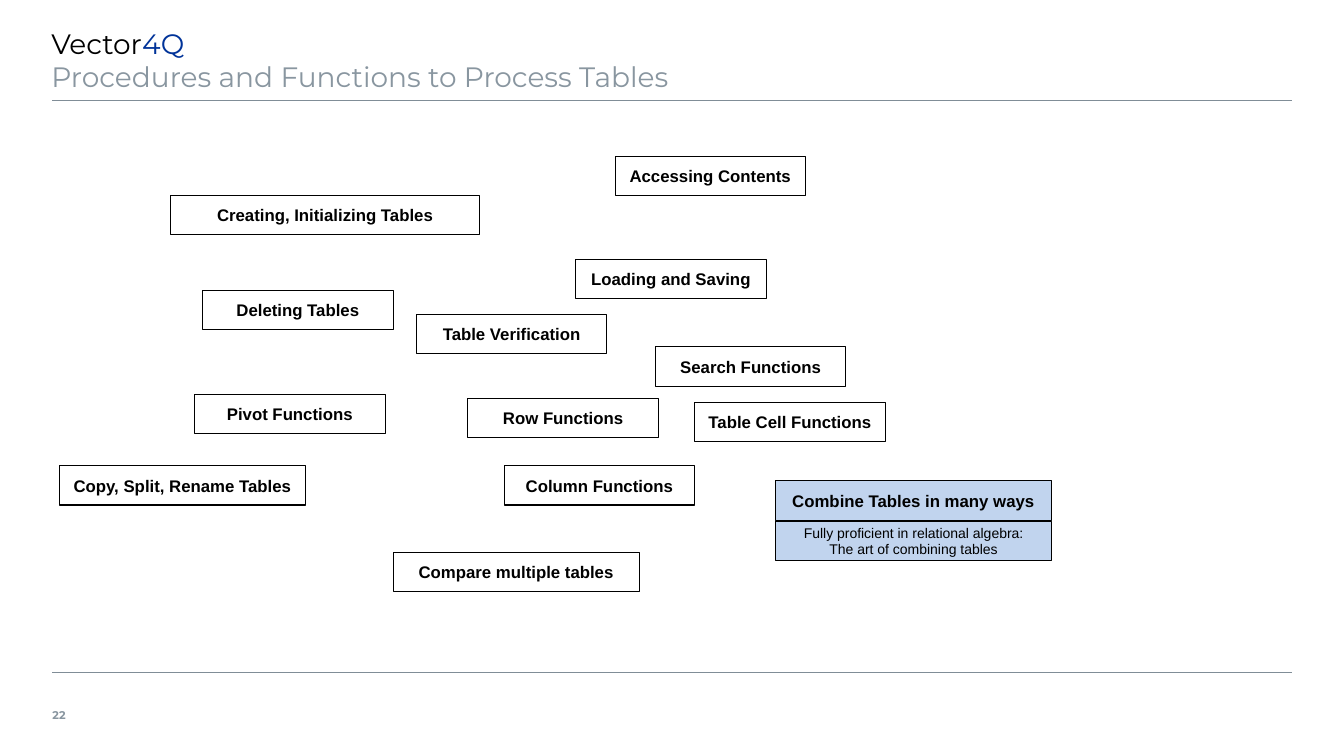
import pptx
import pptx.util
import pptx.dml.color
import pptx.enum.shapes
import pptx.enum.text
import pptx.oxml

PX = 9144  # EMU per px, 100 px to the inch
BLACK = pptx.dml.color.RGBColor(0x00, 0x00, 0x00)
BLUE = pptx.dml.color.RGBColor(0x00, 0x33, 0x99)
GRAY = pptx.dml.color.RGBColor(0x89, 0x96, 0xA0)
RULE_GRAY = pptx.dml.color.RGBColor(0x80, 0x8D, 0x97)
LIGHT_BLUE = pptx.dml.color.RGBColor(0xC1, 0xD4, 0xEE)
LEFT = pptx.enum.text.PP_ALIGN.LEFT
CENTER = pptx.enum.text.PP_ALIGN.CENTER
TOP = pptx.enum.text.MSO_ANCHOR.TOP
MIDDLE = pptx.enum.text.MSO_ANCHOR.MIDDLE

TITLE_FONT = {"name": "Montserrat", "size": pptx.util.Pt(20), "bold": False}
NUMBER_FONT = {"name": "Montserrat", "size": pptx.util.Pt(8), "bold": True}
TOPIC_FONT = {"name": "Arial", "size": pptx.util.Pt(12), "bold": True}
DETAIL_FONT = {"name": "Arial", "size": pptx.util.Pt(10), "bold": False}


def set_frame(text_frame, margins, anchor, wrap):
    sides = ("margin_left", "margin_top", "margin_right", "margin_bottom")
    values = {side: margin * PX for side, margin in zip(sides, margins)}
    values.update(vertical_anchor=anchor, word_wrap=wrap,
                  auto_size=pptx.enum.text.MSO_AUTO_SIZE.NONE)
    for name, value in values.items():
        setattr(text_frame, name, value)


def add_run(paragraph, text, color, font_format):
    run = paragraph.add_run()
    run.text = text
    for name, value in font_format.items():
        setattr(run.font, name, value)
    run.font.color.rgb = color


presentation = pptx.Presentation()
presentation.slide_width = 1333 * PX
presentation.slide_height = 750 * PX
slide = presentation.slides.add_slide(presentation.slide_layouts[5])

# Rules above and below the content
for y in (667, 100):
    rule = slide.shapes.add_connector(
        pptx.enum.shapes.MSO_CONNECTOR.STRAIGHT, 52 * PX, y * PX, 1281 * PX, y * PX)
    rule.line.color.rgb = RULE_GRAY
    rule.line.width = pptx.util.Pt(1)
    rule._element.spPr.append(pptx.oxml.parse_xml(
        '<a:effectLst xmlns:a="http://schemas.openxmlformats.org/drawingml/2006/main"/>'))

# Slide number
number = slide.shapes.add_textbox(52 * PX, 690 * PX, 47 * PX, 39 * PX)
set_frame(number.text_frame, (0, 5, 8, 5), MIDDLE, True)
add_run(number.text_frame.paragraphs[0], "22", GRAY, NUMBER_FONT)

# Title
title = slide.shapes.title
for name, value in {"left": 51, "top": 21, "width": 1228, "height": 79}.items():
    setattr(title, name, value * PX)
set_frame(title.text_frame, (0, 5, 10, 5), TOP, True)
heading = title.text_frame.paragraphs[0]
heading.alignment = LEFT
add_run(heading, "Vector", BLACK, TITLE_FONT)
add_run(heading, "4Q", BLUE, TITLE_FONT)
heading.add_line_break()
add_run(heading, "Procedures and Functions to Process Tables", GRAY, TITLE_FONT)

# Topic boxes: left, top, width, fill, font, lines
BOX_HEIGHT = 39
NORMAL, WIDE = 189, 244
boxes = [
    (169, 194, 307, None, TOPIC_FONT, ["Creating, Initializing Tables"]),
    (201, 288, NORMAL, None, TOPIC_FONT, ["Deleting Tables"]),
    (571, 257, NORMAL, None, TOPIC_FONT, ["Loading and Saving"]),
    (610, 155, NORMAL, None, TOPIC_FONT, ["Accessing Contents"]),
    (464, 395, NORMAL, None, TOPIC_FONT, ["Row Functions"]),
    (500, 462, NORMAL, None, TOPIC_FONT, ["Column Functions"]),
    (650, 344, NORMAL, None, TOPIC_FONT, ["Search Functions"]),
    (413, 312, NORMAL, None, TOPIC_FONT, ["Table Verification"]),
    (689, 399, NORMAL, None, TOPIC_FONT, ["Table Cell Functions"]),
    (193, 391, NORMAL, None, TOPIC_FONT, ["Pivot Functions"]),
    (59, 462, WIDE, None, TOPIC_FONT, ["Copy, Split, Rename Tables"]),
    (769, 477, 274, LIGHT_BLUE, TOPIC_FONT, ["Combine Tables in many ways"]),
    (769, 517, 274, LIGHT_BLUE, DETAIL_FONT,
     ["Fully proficient in relational algebra:", "The art of combining tables"]),
    (390, 548, WIDE, None, TOPIC_FONT, ["Compare multiple tables"]),
]
for left, top, width, fill, font_format, lines in boxes:
    box = slide.shapes.add_shape(
        pptx.enum.shapes.MSO_SHAPE.RECTANGLE,
        left * PX, top * PX, width * PX, BOX_HEIGHT * PX)
    box.shadow.inherit = False
    if fill is None:
        box.fill.background()
    else:
        box.fill.solid()
        box.fill.fore_color.rgb = fill
    box.line.color.rgb = BLACK
    box.line.width = pptx.util.Pt(0.75)
    set_frame(box.text_frame, (4, 4, 4, 4), MIDDLE, False)
    paragraph = box.text_frame.paragraphs[0]
    paragraph.alignment = CENTER
    for index, line in enumerate(lines):
        if index:
            paragraph.add_line_break()
        add_run(paragraph, line, BLACK, font_format)

presentation.save("out.pptx")
